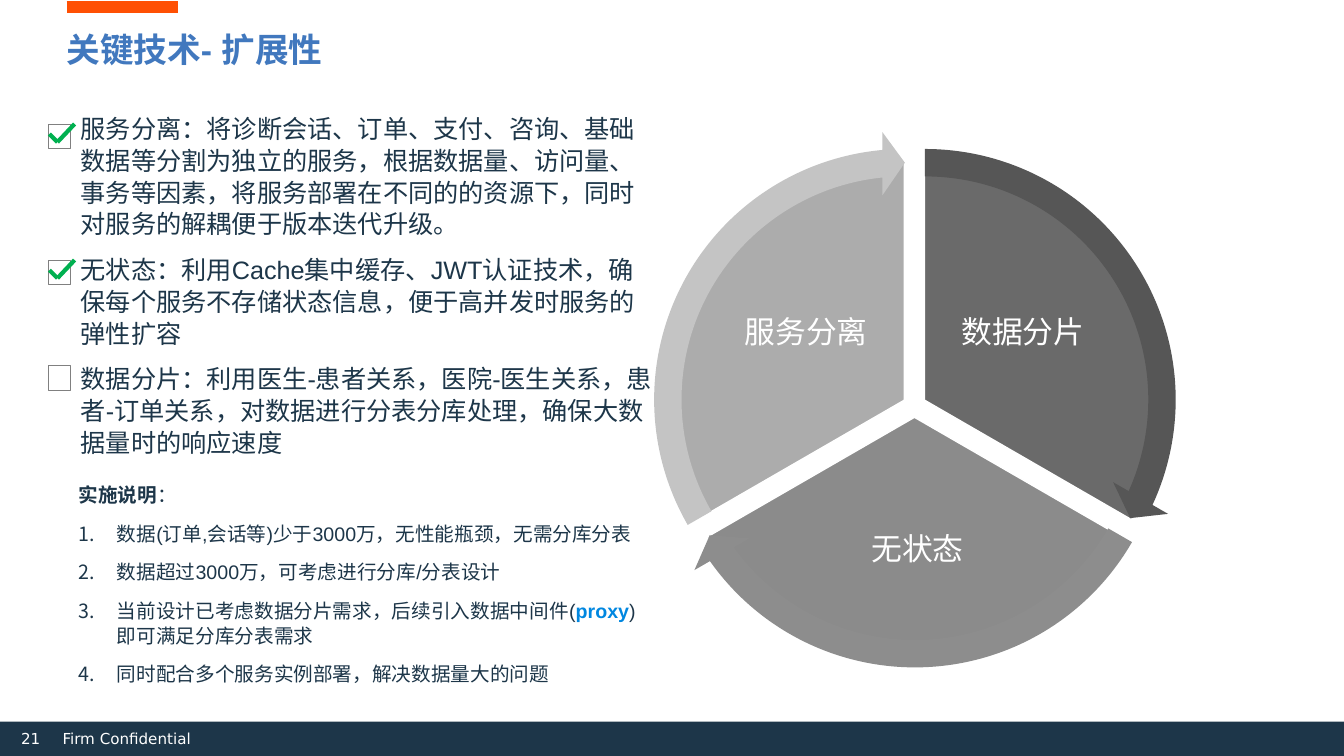
from lxml.etree import SubElement
from pptx import Presentation
from pptx.dml.color import RGBColor
from pptx.enum.shapes import MSO_CONNECTOR, MSO_SHAPE
from pptx.enum.text import MSO_ANCHOR, MSO_AUTO_SIZE, PP_ALIGN
from pptx.oxml.ns import qn
from pptx.util import Pt

PX = 9144  # EMU per px, 100 px to the inch
COLORS = {
    "navy": "1D3649", "orange": "FF5004", "title": "4178BE", "link": "0087E0",
    "white": "FFFFFF", "box": "808080", "tick": "00B050", "pie": "5A5A5A",
    "dark": "565656", "mid": "8D8D8D", "light": "C4C4C4",
}
RGB = {name: RGBColor.from_string(value) for name, value in COLORS.items()}

prs = Presentation()
prs.slide_width, prs.slide_height = 1333 * PX, 750 * PX
slide = prs.slides.add_slide(prs.slide_layouts[5])
shapes = slide.shapes


def add_text(box, paragraphs, size, font, color, inset=0):
    """Add a text box; each paragraph is a list of run texts."""
    frame = shapes.add_textbox(*[n * PX for n in box]).text_frame
    frame.word_wrap = True
    frame.margin_left = frame.margin_right = inset * PX
    frame.margin_top = frame.margin_bottom = inset * PX
    for i, parts in enumerate(paragraphs):
        paragraph = frame.add_paragraph() if i else frame.paragraphs[0]
        for part in parts:
            run = paragraph.add_run()
            run.text = part
            run.font.size, run.font.name = Pt(size), font
            run.font.color.rgb = RGB[color]
    return frame


def add_line(x1, y1, x2, y2, color, width):
    line = shapes.add_connector(
        MSO_CONNECTOR.STRAIGHT, x1 * PX, y1 * PX, x2 * PX, y2 * PX)
    line.line.color.rgb = RGB[color]
    line.line.width = Pt(width)
    SubElement(line._element.spPr, qn("a:effectLst"))


# Header accent and footer
add_line(66, 7, 177, 7, "orange", 8)
footer_bar = shapes.add_shape(MSO_SHAPE.RECTANGLE, 0, 716 * PX, 1333 * PX, 34 * PX)
footer_bar.shadow.inherit = False
footer_bar.fill.solid()
footer_bar.fill.fore_color.rgb = RGB["navy"]
footer_bar.line.fill.background()

footer = add_text((17, 718, 255, 24), [["\t21\tFirm Confidential"]],
                  10.8, "DejaVu Sans", "white")
footer.word_wrap = False
footer.vertical_anchor = MSO_ANCHOR.BOTTOM
footer_line = footer.paragraphs[0]
footer_line.line_spacing = 0.9
footer_line.space_before = Pt(6)
tabs = SubElement(footer_line._p.get_or_add_pPr(), qn("a:tabLst"))
for position, side in ((23, "r"), (45, "l")):
    SubElement(tabs, qn("a:tab"), pos=str(position * PX), algn=side)

# Title
title = shapes.title
title.left, title.top, title.width, title.height = 66 * PX, 30 * PX, 1200 * PX, 45 * PX
heading = title.text_frame
heading.text = "关键技术- 扩展性"
heading.auto_size = MSO_AUTO_SIZE.NONE
heading.vertical_anchor = MSO_ANCHOR.TOP
heading.margin_left = heading.margin_right = 0
heading.margin_top = heading.margin_bottom = 0
heading.paragraphs[0].alignment = PP_ALIGN.LEFT
heading.paragraphs[0].line_spacing = Pt(27.6)
heading_font = heading.paragraphs[0].runs[0].font
heading_font.size, heading_font.name, heading_font.bold = Pt(24), "Arial", True
heading_font.color.rgb = RGB["title"]

# Cycle: three sectors with labels, then the arrows around them
SECTORS = [
    # label, label box, sector left, top, start, end, opacity %
    ("数据分片", (930, 260, 169, 141), 680, 160, 162, 18, 90),
    ("无状态", (783, 484, 254, 124), 670, 177, 18, 90, 70),
    ("服务分离", (715, 260, 169, 141), 660, 160, 90, 162, 50),
]
for label, label_box, left, top, start, end, opacity in SECTORS:
    sector = shapes.add_shape(MSO_SHAPE.PIE, left * PX, top * PX, 474 * PX, 474 * PX)
    sector.adjustments[0], sector.adjustments[1] = start, end
    sector.shadow.inherit = False
    sector.fill.solid()
    sector.fill.fore_color.rgb = RGB["pie"]
    fill_color = next(sector._element.spPr.iter(qn("a:srgbClr")))
    SubElement(fill_color, qn("a:alpha"), val=str(opacity * 1000))
    sector.line.color.rgb = RGB["white"]
    sector.line.width = Pt(1)
    caption = add_text(label_box, [[label]], 22, "DejaVu Sans", "white", inset=3)
    caption.vertical_anchor = MSO_ANCHOR.MIDDLE
    caption.paragraphs[0].alignment = PP_ALIGN.CENTER
    caption.paragraphs[0].line_spacing = 0.9

ARROWS = [
    # left, top, end, start, color
    (651, 130, 14.725, 161.994, "dark"),
    (641, 147, 86.72, 18.005, "mid"),
    (631, 130, 158.73, 90, "light"),
]
for left, top, end, start, color in ARROWS:
    arrow = shapes.add_shape(
        MSO_SHAPE.CIRCULAR_ARROW, left * PX, top * PX, 533 * PX, 533 * PX)
    for i, value in enumerate((0.051, 3.275, end, start, 0.059)):
        arrow.adjustments[i] = value
    arrow.shadow.inherit = False
    arrow.fill.solid()
    arrow.fill.fore_color.rgb = RGB[color]
    arrow.line.fill.background()

# Key points and implementation notes
points = add_text((80, 111, 569, 344), [
    ["服务分离：将诊断会话、订单、支付、咨询、基础数据等分割为独立的服务，根据数据量、访问量、"
     "事务等因素，将服务部署在不同的的资源下，同时对服务的解耦便于版本迭代升级。"],
    ["无状态：利用Cache集中缓存、JWT认证技术，确保每个服务不存储状态信息，"
     "便于高并发时服务的弹性扩容"],
    ["数据分片：利用医生-患者关系，医院-医生关系，患者-订单关系，"
     "对数据进行分表分库处理，确保大数据量时的响应速度"],
], 18, "Arial", "navy")
notes = add_text((78, 478, 569, 203), [
    ["实施说明", "："],
    ["数据(订单,会话等)少于3000万，无性能瓶颈，无需分库分表"],
    ["数据超过3000万，可考虑进行分库/分表设计"],
    ["当前设计已考虑数据分片需求，后续引入数据中间件(", "proxy", ")即可满足分库分表需求"],
    ["同时配合多个服务实例部署，解决数据量大的问题"],
], 14, "Arial", "navy")
for paragraph in points.paragraphs + notes.paragraphs:
    paragraph.line_spacing = 1.05
    paragraph.space_before = Pt(10)
for step in notes.paragraphs[1:]:
    props = step._p.get_or_add_pPr()
    props.set("marL", str(38 * PX))
    props.set("indent", str(-38 * PX))
    SubElement(props, qn("a:buAutoNum"), type="arabicPeriod")
notes.paragraphs[0].runs[0].font.bold = True
middleware = notes.paragraphs[3].runs[1].font
middleware.bold = True
middleware.color.rgb = RGB["link"]

# Checkboxes
for top, done in ((258, True), (123, True), (363, False)):
    checkbox = shapes.add_shape(MSO_SHAPE.RECTANGLE, 48 * PX, top * PX, 22 * PX, 24 * PX)
    checkbox.shadow.inherit = False
    checkbox.fill.background()
    checkbox.line.color.rgb = RGB["box"]
    checkbox.line.width = Pt(0.5)
    if done:
        add_line(49, top + 10, 57, top + 18, "tick", 3)
        add_line(57, top + 18, 74, top, "tick", 3)

prs.save("out.pptx")
